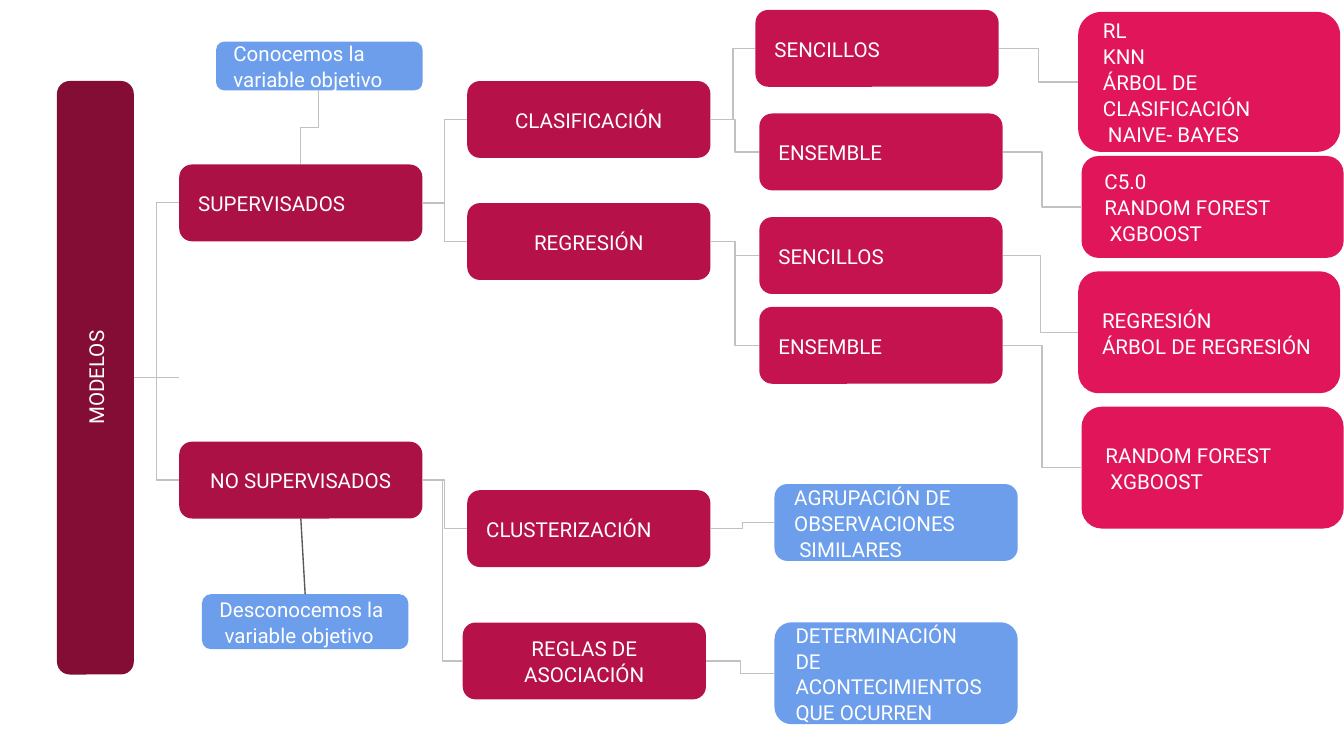
import pptx
import pptx.util
import pptx.dml.color
import pptx.enum.shapes
import pptx.enum.text
import lxml.etree

Pt = pptx.util.Pt
RGB = pptx.dml.color.RGBColor
SHAPE = pptx.enum.shapes.MSO_SHAPE
CONN = pptx.enum.shapes.MSO_CONNECTOR
ALIGN = pptx.enum.text.PP_ALIGN

WHITE = RGB(0xFF, 0xFF, 0xFF)
ROOT = RGB(0x84, 0x0D, 0x35)
KIND = RGB(0xAB, 0x11, 0x45)
TASK = RGB(0xB6, 0x12, 0x49)
FAMILY = RGB(0xC4, 0x13, 0x4E)
ALGORITHM = RGB(0xE1, 0x16, 0x5A)
NOTE = RGB(0x6C, 0x9E, 0xEB)
GREY = RGB(0xC1, 0xC1, 0xC1)
DARK = RGB(0x59, 0x59, 0x59)

# Column groups: fill, width, left inset, nodes (key, left, top, height, centred, lines)
H = 41.2
GROUPS = [
    (ROOT, 41.2, 0, [
        ("models", 30.5, 43.4, 318, True, ["MODELOS"])]),
    (KIND, 130.3, 8.2, [
        ("sup", 96, 88.1, H, False, ["SUPERVISADOS"]),
        ("unsup", 96, 236.6, H, True, ["NO SUPERVISADOS"])]),
    (TASK, 130.3, 8.2, [
        ("class", 250.3, 43.4, H, True, ["CLASIFICACIÓN"]),
        ("regr", 250.3, 108.8, H, True, ["REGRESIÓN"]),
        ("cluster", 250.3, 262.6, H, False, ["CLUSTERIZACIÓN"]),
        ("rules", 247.9, 333.5, H, True, ["REGLAS DE", "ASOCIACIÓN"])]),
    (FAMILY, 130.3, 8.2, [
        ("class_simple", 404.7, 5.3, H, False, ["SENCILLOS"]),
        ("class_ens", 406.8, 60.8, H, False, ["ENSEMBLE"]),
        ("regr_simple", 406.8, 116.3, H, False, ["SENCILLOS"]),
        ("regr_ens", 406.8, 164.4, H, False, ["ENSEMBLE"])]),
    (ALGORITHM, 140.4, 9.6, [
        ("class_simple_algs", 577.6, 6.4, 75, False,
         ["RL", "KNN", "ÁRBOL DE", "CLASIFICACIÓN", " NAIVE- BAYES"]),
        ("class_ens_algs", 579.4, 83.6, 54.6, False,
         ["C5.0", "RANDOM FOREST", " XGBOOST"]),
        ("regr_simple_algs", 577.6, 145.4, 65.3, False,
         ["REGRESIÓN", "ÁRBOL DE REGRESIÓN"]),
        ("regr_ens_algs", 579.4, 217.9, 65.3, False,
         ["RANDOM FOREST", " XGBOOST"])]),
    (NOTE, 130.3, 8.6, [
        ("cluster_note", 414.9, 259.3, H, False,
         ["AGRUPACIÓN DE", "OBSERVACIONES", " SIMILARES"]),
        ("rules_note", 414.9, 333.4, 54.6, False,
         ["DETERMINACIÓN", "DE", "ACONTECIMIENTOS", "QUE OCURREN"])]),
    (NOTE, 110.6, 8, [
        ("sup_note", 115.8, 22.3, 26.1, False,
         ["Conocemos la", "variable objetivo"]),
        ("unsup_note", 108.2, 318.3, 29.5, False,
         ["Desconocemos la", " variable objetivo"])]),
]

LINKS = [
    ("models", "sup"), ("models", "unsup"),
    ("sup", "class"), ("sup", "regr"),
    ("unsup", "cluster"), ("unsup", "rules"),
    ("class", "class_simple"), ("class", "class_ens"),
    ("regr", "regr_simple"), ("regr", "regr_ens"),
    ("class_simple", "class_simple_algs"), ("class_ens", "class_ens_algs"),
    ("regr_simple", "regr_simple_algs"), ("regr_ens", "regr_ens_algs"),
    ("cluster", "cluster_note"), ("rules", "rules_note"),
]

prs = pptx.Presentation()
prs.slide_width, prs.slide_height = Pt(720), Pt(405)
s = prs.slides.add_slide(prs.slide_layouts[6])


def write(tf, text, size=11, color=WHITE, font="Roboto", align=ALIGN.LEFT,
          spacing=1.05):
    p = tf.paragraphs[0]
    p.text = text
    p.alignment, p.line_spacing = align, spacing
    for r in p.runs:
        r.font.size, r.font.name, r.font.color.rgb = Pt(size), font, color


def add_node(x, y, w, h, fill, inset, centred, lines):
    sp = s.shapes.add_shape(SHAPE.ROUNDED_RECTANGLE, Pt(x), Pt(y), Pt(w), Pt(h))
    sp.shadow.inherit = False
    sp.fill.solid()
    sp.fill.fore_color.rgb = fill
    sp.line.fill.background()
    tf = sp.text_frame
    tf.word_wrap = True
    tf.vertical_anchor = pptx.enum.text.MSO_ANCHOR.MIDDLE
    tf.margin_left = Pt(0 if centred else inset)
    tf.margin_right = tf.margin_top = tf.margin_bottom = 0
    write(tf, "\v".join(lines), align=ALIGN.CENTER if centred else ALIGN.LEFT)
    return sp


def add_line(kind, x1, y1, x2, y2, color=GREY):
    c = s.shapes.add_connector(kind, x1, y1, x2, y2)
    c.line.color.rgb, c.line.width = color, Pt(0.75)
    ns = pptx.oxml.ns.qn("a:effectLst")
    lxml.etree.SubElement(c._element.spPr, ns)
    return c


def middle(sp):
    return sp.left + sp.width // 2, sp.top + sp.height // 2


# Nodes
nodes = {}
for fill, w, inset, items in GROUPS:
    for key, x, y, h, centred, lines in items:
        nodes[key] = add_node(x, y, w, h, fill, inset, centred, lines)
root = nodes["models"]
root.text_frame._txBody.bodyPr.set("vert", "vert270")

# Elbow links from right side to left side
for a, b in LINKS:
    a, b = nodes[a], nodes[b]
    c = add_line(CONN.ELBOW, a.left + a.width, middle(a)[1], b.left, middle(b)[1])
    c.begin_connect(a, 3)
    c.end_connect(b, 1)

# Stub between the two kinds of model
y = middle(root)[1]
add_line(CONN.STRAIGHT, root.left + root.width, y, nodes["sup"].left, y)

# Vertical step up to the supervised note
a, b = nodes["sup"], nodes["sup_note"]
x1, x2 = middle(a)[0], Pt(170.8)
y1, y2 = a.top, b.top + b.height
ym = (y1 + y2) // 2
fb = s.shapes.build_freeform(x1, y1)
fb.add_line_segments([(x1, ym), (x2, ym), (x2, y2)], close=False)
step = fb.convert_to_shape()
step.shadow.inherit = False
step.fill.background()
step.line.color.rgb, step.line.width = GREY, Pt(0.75)

# Straight link down to the unsupervised note
a, b = nodes["unsup"], nodes["unsup_note"]
c = add_line(CONN.STRAIGHT, middle(a)[0], a.top + a.height, middle(b)[0], b.top,
             color=DARK)
c.begin_connect(a, 2)
c.end_connect(b, 0)

prs.save("out.pptx")
